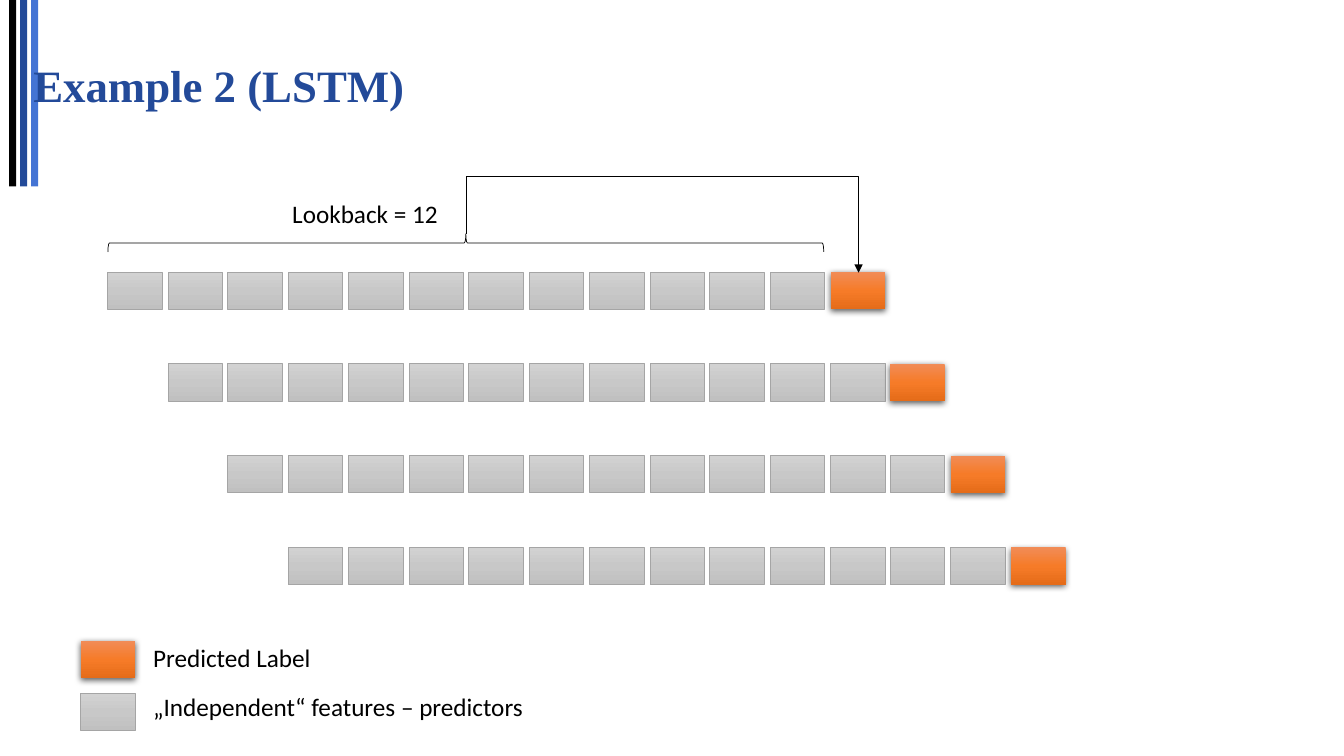
from copy import deepcopy
from dataclasses import dataclass

from pptx import Presentation
from pptx.dml.color import RGBColor
from pptx.enum.shapes import MSO_CONNECTOR, MSO_SHAPE
from pptx.enum.text import MSO_ANCHOR, MSO_AUTO_SIZE, PP_ALIGN
from pptx.oxml import parse_xml
from pptx.oxml.ns import nsdecls, qn
from pptx.util import Pt

EMU_PER_PX = 9144
LOOKBACK = 12
WINDOWS = 4
CELL_WIDTH, CELL_HEIGHT = 54, 37
FIRST_LEFT, LAST_LEFT = 107, 764
FIRST_TOP, WINDOW_PITCH = 270, 91


@dataclass(frozen=True)
class Theme:
    ink: str = "000000"
    navy: str = "234A99"
    blue: str = "4474D4"
    predictor_line: str = "A5A5A5"
    predictor_fill: tuple = ("D2D2D2", "C8C8C8", "C0C0C0")
    predicted_fill: tuple = ("F18C57", "F67B28", "E56C19")
    title_font: str = "Times New Roman"
    body_font: str = "Calibri"
    title_size: int = 32
    body_size: int = 18
    line_width: float = 0.5


THEME = Theme()


def px(length):
    return length * EMU_PER_PX


def rgb(color):
    return RGBColor.from_string(color)


def add_preset(shapes, preset, left, top, width, height):
    shape = shapes.add_shape(preset, px(left), px(top), px(width), px(height))
    shape.shadow.inherit = False
    return shape


def style_line(line, color):
    line.color.rgb = rgb(color)
    line.width = Pt(THEME.line_width)


def style_run(run, font, size, color, bold=False):
    run.font.name = font
    run.font.size = Pt(size)
    run.font.color.rgb = rgb(color)
    run.font.bold = bold


def add_stripe(shapes, left, color):
    stripe = add_preset(shapes, MSO_SHAPE.RECTANGLE, left, 0, 7, 185)
    stripe.fill.solid()
    stripe.fill.fore_color.rgb = rgb(color)
    stripe.line.fill.background()


def set_title(shapes, wording):
    title = shapes.title
    shapes._spTree.append(title._element)
    title.left, title.top, title.width, title.height = px(23), px(15), px(1286), px(145)
    frame = title.text_frame
    frame.text = wording
    frame.vertical_anchor = MSO_ANCHOR.MIDDLE
    frame.auto_size = MSO_AUTO_SIZE.NONE
    heading = frame.paragraphs[0]
    heading.alignment = PP_ALIGN.LEFT
    heading.line_spacing = 0.9
    style_run(heading.runs[0], THEME.title_font, THEME.title_size, THEME.navy, True)


def add_cell(shapes, left, top, colors):
    cell = add_preset(shapes, MSO_SHAPE.RECTANGLE, left, top, CELL_WIDTH, CELL_HEIGHT)
    cell.fill.gradient()
    stop_list = cell._element.spPr.find(".//" + qn("a:gsLst"))
    stop_list.append(deepcopy(stop_list[-1]))
    for stop, position, color in zip(cell.fill.gradient_stops, (0, 0.5, 1), colors):
        stop.position = position
        stop.color.rgb = rgb(color)
    cell.fill.gradient_angle = 270
    return cell


def add_predictor(shapes, left, top):
    predictor = add_cell(shapes, left, top, THEME.predictor_fill)
    style_line(predictor.line, THEME.predictor_line)


def add_predicted(shapes, left, top):
    predicted = add_cell(shapes, left, top, THEME.predicted_fill)
    predicted.line.fill.background()
    predicted._element.spPr.find(qn("a:effectLst")).append(parse_xml(
        f'<a:outerShdw {nsdecls("a")} blurRad="57150" dist="19050" dir="5400000" '
        f'algn="ctr" rotWithShape="0"><a:srgbClr val="{THEME.ink}">'
        '<a:alpha val="63000"/></a:srgbClr></a:outerShdw>'))


def column_left(column):
    return round(FIRST_LEFT + (LAST_LEFT - FIRST_LEFT) * column / (LOOKBACK - 1))


def add_window(shapes, offset):
    top = FIRST_TOP + offset * WINDOW_PITCH
    for column in range(offset, offset + LOOKBACK):
        add_predictor(shapes, column_left(column), top)
    add_predicted(shapes, column_left(offset + LOOKBACK), top)


def add_brace(shapes):
    brace = add_preset(shapes, MSO_SHAPE.LEFT_BRACE, 453, -114, 18, 710)
    brace.rotation = 90
    brace.fill.background()
    style_line(brace.line, THEME.ink)


def add_prediction_arrow(shapes):
    left, top, width, height = px(638), px(57), px(38), px(389)
    arrow = shapes.add_connector(
        MSO_CONNECTOR.ELBOW, left, top, left + width, top + height)
    style_line(arrow.line, THEME.ink)
    properties = arrow._element.spPr
    properties.xfrm.set("rot", "16200000")
    properties.xfrm.set("flipH", "1")
    geometry = properties.find(qn("a:prstGeom"))
    geometry.find(qn("a:avLst")).append(parse_xml(
        f'<a:gd {nsdecls("a")} name="adj1" fmla="val -152300"/>'))
    properties.find(qn("a:ln")).append(
        parse_xml(f'<a:tailEnd {nsdecls("a")} type="triangle"/>'))
    properties.append(parse_xml(f'<a:effectLst {nsdecls("a")}/>'))


def add_caption(shapes, wording, left, top, width):
    caption = shapes.add_textbox(px(left), px(top), px(width), px(40))
    frame = caption.text_frame
    frame.text = wording
    frame.word_wrap = False
    frame.auto_size = MSO_AUTO_SIZE.SHAPE_TO_FIT_TEXT
    style_run(frame.paragraphs[0].runs[0], THEME.body_font, THEME.body_size, THEME.ink)


def main():
    presentation = Presentation()
    presentation.slide_width, presentation.slide_height = px(1333), px(750)
    shapes = presentation.slides.add_slide(presentation.slide_layouts[5]).shapes

    for position, color in enumerate((THEME.ink, THEME.navy, THEME.blue)):
        add_stripe(shapes, 9 + 11 * position, color)
    set_title(shapes, "Example 2 (LSTM)")

    for offset in range(WINDOWS):
        add_window(shapes, offset)
    add_brace(shapes)
    add_prediction_arrow(shapes)
    add_caption(shapes, "Lookback = 12", 280, 192, 166)

    add_predicted(shapes, 80, 636)
    add_caption(shapes, "Predicted Label", 142, 632, 185)
    add_predictor(shapes, 80, 688)
    add_caption(shapes, "„Independent“ features – predictors", 142, 681, 398)

    presentation.save("out.pptx")


if __name__ == "__main__":
    main()
